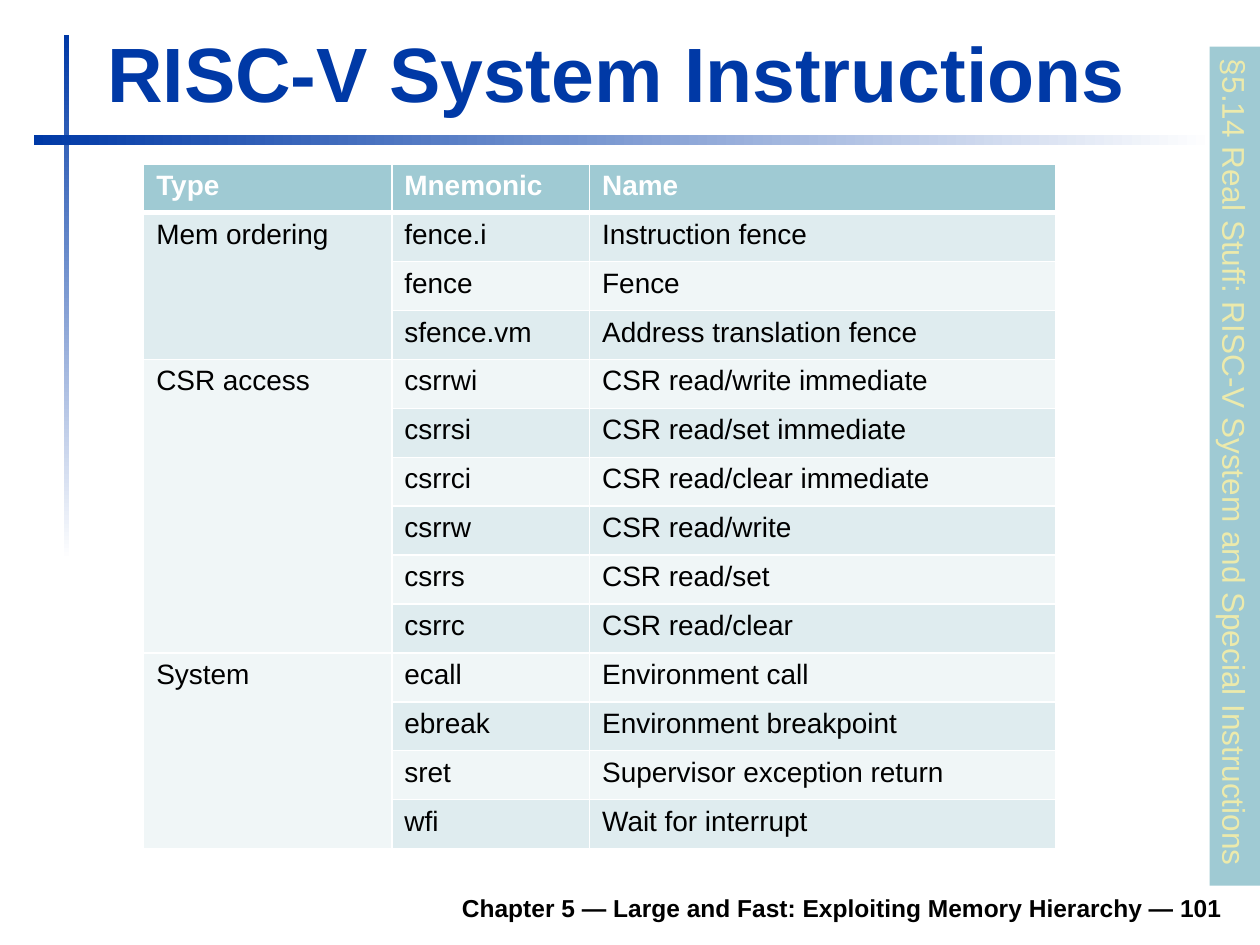
from dataclasses import dataclass

from pptx import Presentation
from pptx import util as u
from pptx.dml.color import RGBColor
from pptx.enum import shapes, text
from pptx.oxml import parse_xml
from pptx.oxml.ns import nsdecls

BLUE = RGBColor(0x00, 0x39, 0xA6)
TEAL = RGBColor(0x9F, 0xCA, 0xD3)
CREAM = RGBColor(0xEC, 0xEA, 0xAC)
BLACK = RGBColor(0x00, 0x00, 0x00)
WHITE = RGBColor(0xFF, 0xFF, 0xFF)
BANDS = (RGBColor(0xDF, 0xEC, 0xEF), RGBColor(0xF0, 0xF6, 0xF7))

GRID_COLS, GRID_ROWS = 1000, 750
UNIT = u.Inches(0.01)


@dataclass(frozen=True)
class Box:
    col: int
    row: int
    cols: int
    rows: int

    @property
    def emu(self) -> tuple:
        return tuple(n * UNIT for n in (self.col, self.row, self.cols, self.rows))


@dataclass(frozen=True)
class Rule:
    box: Box
    angle: int


@dataclass(frozen=True)
class Group:
    name: str
    instructions: tuple


RULES = (
    Rule(Box(51, 28, 4, 417), 270),
    Rule(Box(27, 107, 937, 8), 0),
)
TITLE = Box(75, 16, 903, 83)
FOOTER = Box(185, 698, 795, 39)
SECTION = Box(647, 350, 666, 40)
TABLE = Box(114, 130, 724, 544)
COLUMN_WIDTHS = (197, 157, 370)
HEADINGS = ("Type", "Mnemonic", "Name")
GROUPS = (
    Group("Mem ordering", (
        ("fence.i", "Instruction fence"),
        ("fence", "Fence"),
        ("sfence.vm", "Address translation fence"),
    )),
    Group("CSR access", (
        ("csrrwi", "CSR read/write immediate"),
        ("csrrsi", "CSR read/set immediate"),
        ("csrrci", "CSR read/clear immediate"),
        ("csrrw", "CSR read/write"),
        ("csrrs", "CSR read/set"),
        ("csrrc", "CSR read/clear"),
    )),
    Group("System", (
        ("ecall", "Environment call"),
        ("ebreak", "Environment breakpoint"),
        ("sret", "Supervisor exception return"),
        ("wfi", "Wait for interrupt"),
    )),
)


def write(tf, words: str, *, size: int, color: RGBColor, bold: bool = False,
          align=text.PP_ALIGN.LEFT, anchor=text.MSO_ANCHOR.TOP, wrap: bool = True) -> None:
    tf.word_wrap = wrap
    tf.vertical_anchor = anchor
    p = tf.paragraphs[0]
    p.alignment = align
    r = p.add_run()
    r.text = words
    r.font.name = "Arial"
    r.font.size = u.Pt(size)
    r.font.bold = bold
    r.font.color.rgb = color


def add_rect(s, box: Box):
    sp = s.shapes.add_shape(shapes.MSO_SHAPE.RECTANGLE, *box.emu)
    sp.shadow.inherit = False
    sp.line.fill.background()
    return sp


def add_rule(s, rule: Rule) -> None:
    fill = add_rect(s, rule.box).fill
    fill.gradient()
    fill.gradient_angle = rule.angle
    for stop, color in zip(fill.gradient_stops, (BLUE, WHITE)):
        stop.color.rgb = color


def add_title(s) -> None:
    sp = s.shapes.title
    sp.left, sp.top, sp.width, sp.height = TITLE.emu
    write(sp.text_frame, "RISC-V System Instructions", size=44, color=BLUE, bold=True,
          anchor=text.MSO_ANCHOR.BOTTOM)
    sp.text_frame.auto_size = text.MSO_AUTO_SIZE.SHAPE_TO_FIT_TEXT


def add_footer(s) -> None:
    sp = s.shapes.add_textbox(*FOOTER.emu)
    write(sp.text_frame, "Chapter 5 — Large and Fast: Exploiting Memory Hierarchy — 101",
          size=14, color=BLACK, bold=True, align=text.PP_ALIGN.RIGHT,
          anchor=text.MSO_ANCHOR.BOTTOM)


def add_section(s) -> None:
    sp = add_rect(s, SECTION)
    sp.rotation = 90
    sp.fill.solid()
    sp.fill.fore_color.rgb = TEAL
    write(sp.text_frame, "§5.14 Real Stuff: RISC-V System and Special Instructions",
          size=18, color=CREAM, wrap=False)
    sp.text_frame.auto_size = text.MSO_AUTO_SIZE.SHAPE_TO_FIT_TEXT


def style_cell(cell, fill: RGBColor, top: int, bottom: int) -> None:
    tc_pr = cell._tc.get_or_add_tcPr()
    for side, width in (("L", 1), ("R", 1), ("T", top), ("B", bottom)):
        tc_pr.append(parse_xml(
            f'<a:ln{side} {nsdecls("a")} w="{u.Pt(width)}"><a:solidFill>'
            f'<a:srgbClr val="{WHITE}"/></a:solidFill></a:ln{side}>'))
    cell.fill.solid()
    cell.fill.fore_color.rgb = fill


def add_instruction_table(s) -> None:
    row_count = 1 + sum(len(g.instructions) for g in GROUPS)
    table = s.shapes.add_table(row_count, len(HEADINGS), *TABLE.emu).table
    table.horz_banding = False
    for column, width in zip(table.columns, COLUMN_WIDTHS):
        column.width = width * UNIT
    for i, row in enumerate(table.rows):
        row.height = TABLE.rows * UNIT // row_count
        for cell in row.cells:
            style_cell(cell, BANDS[(i - 1) % 2] if i else TEAL,
                       top=3 if i == 1 else 1, bottom=1 if i else 3)
    for j, heading in enumerate(HEADINGS):
        write(table.cell(0, j).text_frame, heading, size=16, color=WHITE, bold=True)
    i = 1
    for group in GROUPS:
        head = table.cell(i, 0)
        head.merge(table.cell(i + len(group.instructions) - 1, 0))
        write(head.text_frame, group.name, size=16, color=BLACK)
        for instruction in group.instructions:
            for j, words in enumerate(instruction, 1):
                write(table.cell(i, j).text_frame, words, size=16, color=BLACK)
            i += 1


def main() -> None:
    prs = Presentation()
    prs.slide_width, prs.slide_height = GRID_COLS * UNIT, GRID_ROWS * UNIT
    s = prs.slides.add_slide(prs.slide_layouts[5])
    for rule in RULES:
        add_rule(s, rule)
    add_title(s)
    add_footer(s)
    add_section(s)
    add_instruction_table(s)
    prs.save("out.pptx")


if __name__ == "__main__":
    main()
